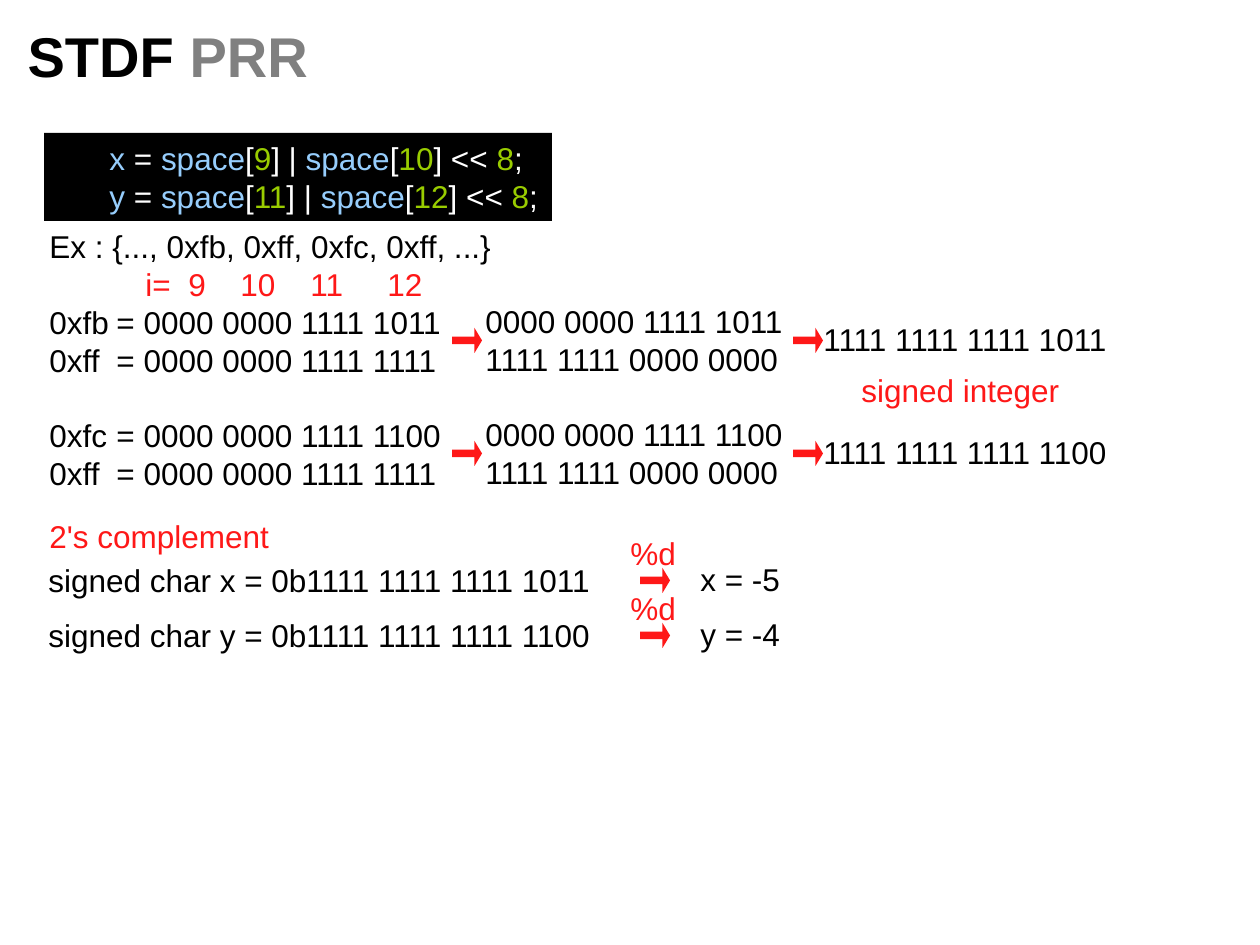
from lxml import etree
from pptx import Presentation
from pptx import util as u
from pptx.dml.color import RGBColor
from pptx.enum import shapes, text
from pptx.oxml.ns import qn

PX_PER_INCH = 126
FONT = "Arial"
BODY_SIZE = 18
LINE_FACTOR = 1.2
COLORS = {
    "black": "000000",
    "gray": "808080",
    "white": "FFFFFF",
    "red": "FE1818",
    "blue": "96CDFC",
    "green": "99CC00",
}


def px(length):
    return u.Emu(round(length * u.Inches(1) / PX_PER_INCH))


def box_height(line_count):
    """Height in px of a box that just holds its lines and insets."""
    return round(PX_PER_INCH * (0.1 + line_count * BODY_SIZE * LINE_FACTOR / 72))


def color(name):
    return RGBColor.from_string(COLORS[name])


def set_tabs(paragraph, stops):
    tab_list = etree.SubElement(paragraph._p.get_or_add_pPr(), qn("a:tabLst"))
    for stop in stops:
        etree.SubElement(tab_list, qn("a:tab"), pos=str(px(stop)), algn="l")


def write_paragraph(paragraph, runs, size=BODY_SIZE, bold=False):
    """Write (text, color name) pairs as the runs of a paragraph."""
    paragraph.alignment = text.PP_ALIGN.LEFT
    paragraph.line_spacing = u.Pt(size * LINE_FACTOR)
    for words, color_name in runs:
        run = paragraph.add_run()
        run.text = words
        run.font.name = FONT
        run.font.size = u.Pt(size)
        run.font.bold = bold
        run.font.color.rgb = color(color_name)


def write_lines(shape, lines):
    frame = shape.text_frame
    frame.word_wrap = False
    frame.vertical_anchor = text.MSO_ANCHOR.TOP
    for index, runs in enumerate(lines):
        paragraph = frame.add_paragraph() if index else frame.paragraphs[0]
        write_paragraph(paragraph, runs)
    return frame.paragraphs


def add_text(slide, left, top, width, lines):
    box = slide.shapes.add_textbox(
        px(left), px(top), px(width), px(box_height(len(lines))))
    return write_lines(box, lines)


def add_filled_shape(slide, kind, left, top, width, height, color_name):
    shape = slide.shapes.add_shape(kind, px(left), px(top), px(width), px(height))
    shape.shadow.inherit = False
    shape.fill.solid()
    shape.fill.fore_color.rgb = color(color_name)
    shape.line.fill.background()
    return shape


def add_arrow(slide, left, top):
    arrow = add_filled_shape(
        slide, shapes.MSO_SHAPE.RIGHT_ARROW, left, top, 30, 25, "red")
    arrow.adjustments[0] = 0.3
    arrow.adjustments[1] = 0.3


def fill_title(slide):
    title = slide.shapes.title
    title.left, title.top, title.width, title.height = map(px, (15, 15, 1126, 81))
    title.text_frame.auto_size = text.MSO_AUTO_SIZE.NONE
    title.text_frame.vertical_anchor = text.MSO_ANCHOR.TOP
    write_paragraph(title.text_frame.paragraphs[0],
                    [("STDF ", "black"), ("PRR", "gray")], 32, True)


def code_line(variable, low, high):
    return [
        (variable + " ", "blue"), ("= ", "white"),
        ("space", "blue"), ("[", "white"), (low, "green"), ("] | ", "white"),
        ("space", "blue"), ("[", "white"), (high, "green"), ("] << ", "white"),
        ("8", "green"), (";", "white"),
    ]


def add_code(slide):
    panel = add_filled_shape(
        slide, shapes.MSO_SHAPE.RECTANGLE, 44, 133, 508, box_height(2), "black")
    lines = [code_line("x", "9", "10"), code_line("y", "11", "12")]
    for paragraph in write_lines(panel, lines):
        properties = paragraph._p.get_or_add_pPr()
        properties.set("marL", str(px(53)))
        properties.set("indent", "0")


def add_example(slide):
    byte_rows = [
        ("0xfb", "0000 0000 1111 1011"),
        ("0xff", "0000 0000 1111 1111"),
        ("0xfc", "0000 0000 1111 1100"),
        ("0xff", "0000 0000 1111 1111"),
    ]
    lines = [
        [("Ex : {..., 0xfb, 0xff, 0xfc, 0xff, ...}", "black")],
        [("\ti=\t9\t10\t11\t12", "red")],
    ]
    lines += [[(f"{name}\t= {bits}", "black")] for name, bits in byte_rows]
    paragraphs = add_text(slide, 37, 221, 475, lines)
    set_tabs(paragraphs[1], (96, 139, 191, 261, 338))
    for paragraph in paragraphs[2:]:
        set_tabs(paragraph, (67,))
    paragraphs[4].space_before = u.Pt(BODY_SIZE * LINE_FACTOR)


def add_merge(slide, top, low_bits, merged_bits):
    """Show the low byte and shifted high byte joined into one word."""
    add_text(slide, 473, top, 331,
             [[(low_bits, "black")], [("1111 1111 0000 0000", "black")]])
    add_text(slide, 811, top + 18, 331, [[(merged_bits, "black")]])
    for left in (452, 793):
        add_arrow(slide, left, top + 32)


def add_result(slide, top, variable, bits, value):
    add_text(slide, 36, top, 590, [[(f"signed char {variable} = 0b{bits}", "black")]])
    add_arrow(slide, 640, top + 13)
    add_text(slide, 618, top - 27, 71, [[("%d", "red")]])
    add_text(slide, 688, top - 1, 105, [[(f"{variable} = {value}", "black")]])


def main():
    presentation = Presentation()
    presentation.slide_width = u.Inches(10)
    presentation.slide_height = u.Inches(7.5)
    slide = presentation.slides.add_slide(presentation.slide_layouts[5])

    fill_title(slide)
    add_code(slide)
    add_example(slide)
    words = [
        ("x", "0000 0000 1111 1011", "1111 1111 1111 1011", -5),
        ("y", "0000 0000 1111 1100", "1111 1111 1111 1100", -4),
    ]
    for index, (variable, low_bits, merged_bits, value) in enumerate(words):
        add_merge(slide, 296 + 113 * index, low_bits, merged_bits)
        add_result(slide, 555 + 55 * index, variable, merged_bits, value)
    add_text(slide, 849, 365, 230, [[("signed integer", "red")]])
    add_text(slide, 37, 511, 260, [[("2's complement", "red")]])

    presentation.save("out.pptx")


if __name__ == "__main__":
    main()
